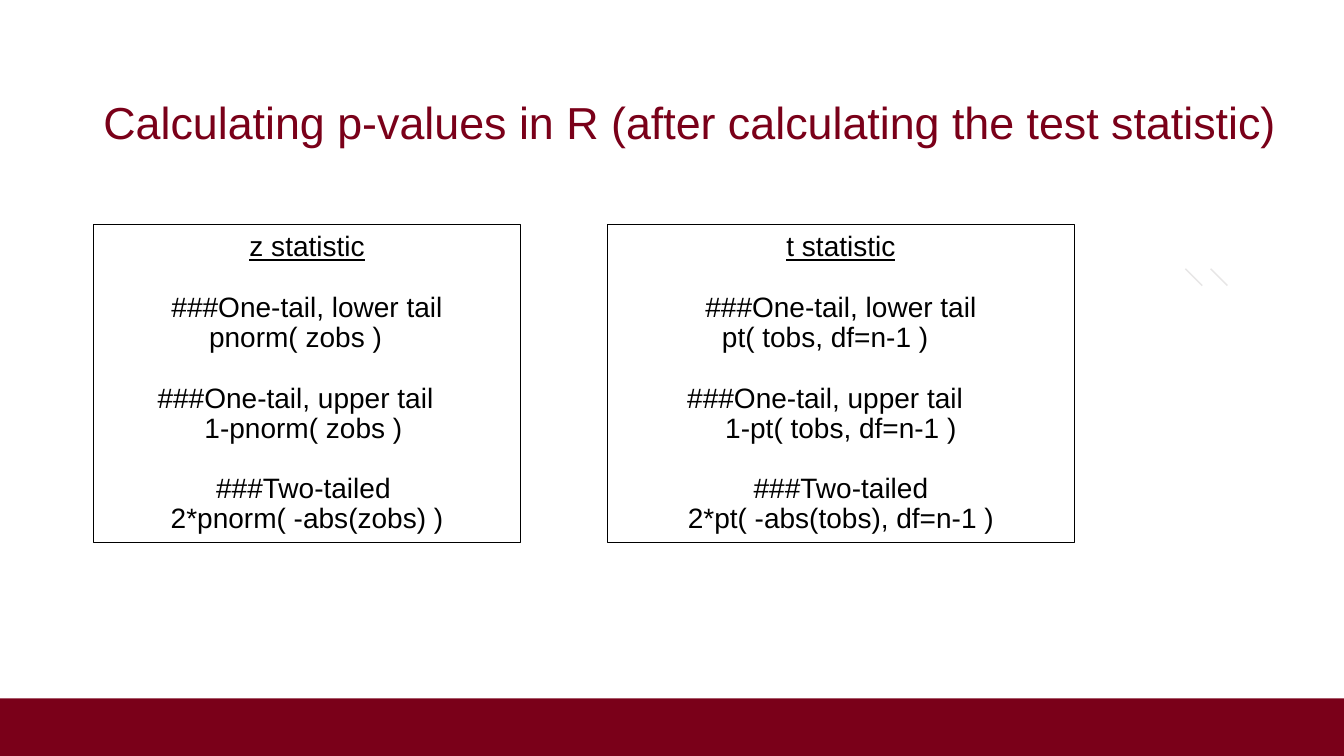
from pptx import Presentation
from pptx.dml.color import RGBColor
from pptx.enum.shapes import MSO_CONNECTOR, MSO_SHAPE
from pptx.enum.text import MSO_ANCHOR, PP_ALIGN
from pptx.oxml.ns import qn
from pptx.util import Pt
from lxml import etree

PX = 9525
SLIDE_W, SLIDE_H = 1280, 720
COLORS = {"maroon": "7A0019", "white": "FFFFFF", "black": "000000", "gray": "E7E6E6"}
FONT = "Arial"
RECTANGLE = MSO_SHAPE.RECTANGLE
STRAIGHT = MSO_CONNECTOR.STRAIGHT
MIDDLE = MSO_ANCHOR.MIDDLE
LEFT, CENTER = PP_ALIGN.LEFT, PP_ALIGN.CENTER
LINE_SPACING = 0.9
CODE_GAP = Pt(21.6)

Z_TESTS = [
    ("###One-tail, lower tail", "pnorm( zobs )", 22),
    ("###One-tail, upper tail", "1-pnorm( zobs )", 7),
    ("###Two-tailed", "2*pnorm( -abs(zobs) )", 0),
]
T_TESTS = [
    ("###One-tail, lower tail", "pt( tobs, df=n-1 )", 30),
    ("###One-tail, upper tail", "1-pt( tobs, df=n-1 )", 0),
    ("###Two-tailed", "2*pt( -abs(tobs), df=n-1 )", 0),
]


def rgb(color):
    """Return the named palette colour."""
    return RGBColor.from_string(COLORS[color])


def add_panel(slide, box, fill, line=None, opacity=100):
    """Add a rectangle in box, optionally outlined and translucent."""
    panel = slide.shapes.add_shape(RECTANGLE, *(n * PX for n in box))
    panel.shadow.inherit = False
    panel.fill.solid()
    panel.fill.fore_color.rgb = rgb(fill)
    if opacity < 100:
        tint = panel.fill._xPr.find(qn("a:solidFill"))[0]
        etree.SubElement(tint, qn("a:alpha")).set("val", str(opacity * 1000))
    if line:
        panel.line.color.rgb = rgb(line)
        panel.line.width = Pt(0.75)
    else:
        panel.line.fill.background()
    panel.text_frame.word_wrap = True
    panel.text_frame.vertical_anchor = MIDDLE
    return panel


def style_line(paragraph, text, size, color, align):
    """Write one line of text with its font, colour and alignment."""
    paragraph.text = text
    paragraph.alignment = align
    paragraph.line_spacing = LINE_SPACING
    font = paragraph.runs[0].font
    font.name, font.size = FONT, Pt(size)
    font.color.rgb = rgb(color)
    return font


def add_title(slide, box, title):
    """Add the slide title."""
    frame = add_panel(slide, box, "white", opacity=75).text_frame
    style_line(frame.paragraphs[0], title, 32, "maroon", LEFT)


def add_statistic(slide, box, heading, tests):
    """Add an outlined box with a heading and the R code of each test."""
    frame = add_panel(slide, box, "white", "black", 75).text_frame
    style_line(frame.paragraphs[0], heading, 20, "black", CENTER).underline = True
    for comment, code, right_indent in tests:
        comment_line = frame.add_paragraph()
        style_line(comment_line, comment, 20, "black", CENTER)
        comment_line.space_before = CODE_GAP
        code_line = frame.add_paragraph()
        style_line(code_line, code, 20, "black", CENTER)
        code_line._p.get_or_add_pPr().set("marR", str(right_indent * PX))


def add_ticks(slide, box, count, pitch):
    """Add short diagonal strokes, the first one filling box."""
    left, top, width, height = box
    for i in range(count):
        x = left + i * pitch
        ends = (x, top, x + width, top + height)
        tick = slide.shapes.add_connector(STRAIGHT, *(n * PX for n in ends))
        tick.line.color.rgb = rgb("gray")
        tick.line.width = Pt(1)
        etree.SubElement(tick._element.spPr, qn("a:effectLst"))


def main():
    """Build the slide and save it."""
    deck = Presentation()
    deck.slide_width, deck.slide_height = SLIDE_W * PX, SLIDE_H * PX
    slide = deck.slides.add_slide(deck.slide_layouts[6])
    add_panel(slide, (0, 665, SLIDE_W, 55), "maroon")
    add_ticks(slide, (1129, 256, 16, 16), 2, 24)
    add_title(slide, (89, 63, 1153, 112),
              "Calculating p-values in R (after calculating the test statistic)")
    add_statistic(slide, (89, 214, 407, 303), "z statistic", Z_TESTS)
    add_statistic(slide, (579, 214, 444, 303), "t statistic", T_TESTS)
    deck.save("out.pptx")


if __name__ == "__main__":
    main()
